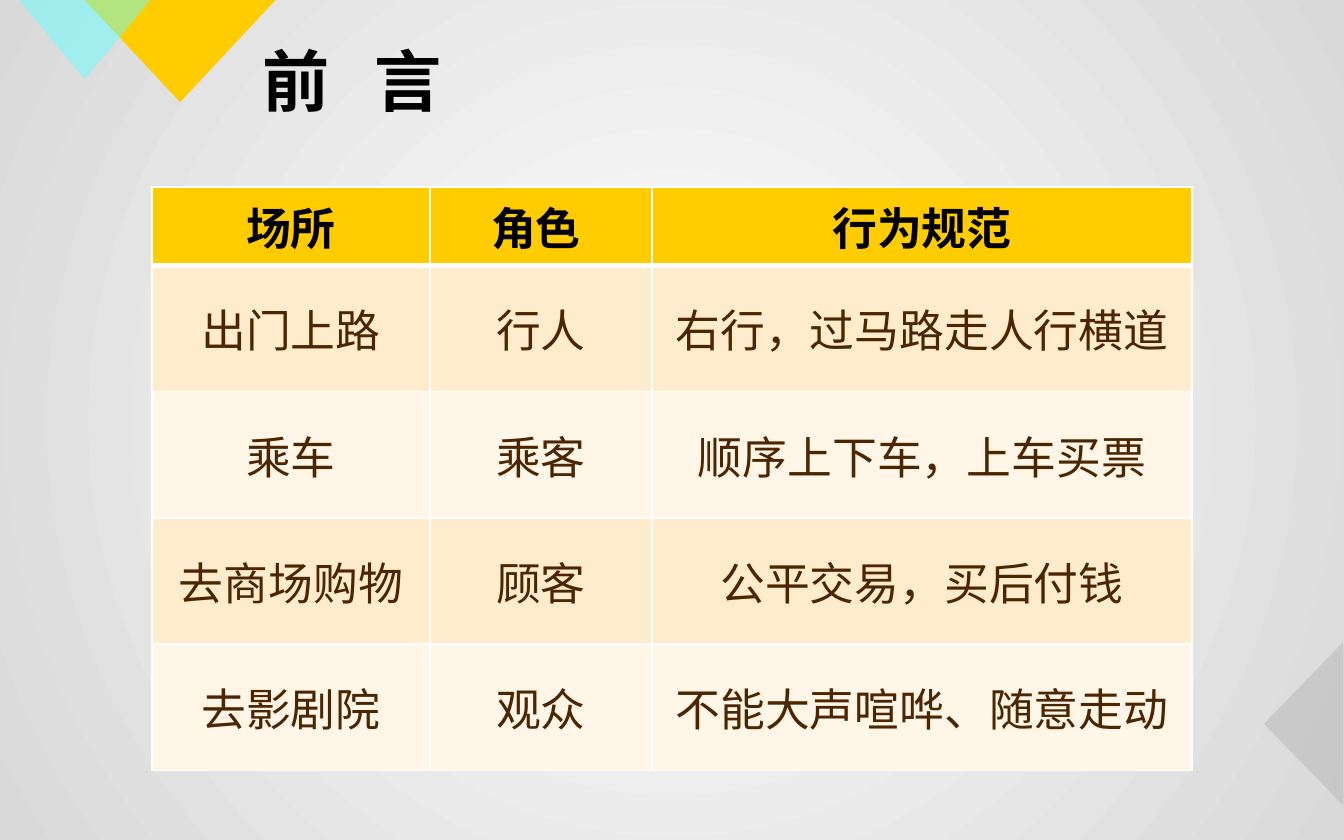
from lxml import etree
from pptx import Presentation
from pptx.dml.color import RGBColor
from pptx.enum.shapes import MSO_SHAPE
from pptx.enum.text import MSO_ANCHOR, MSO_AUTO_SIZE, PP_ALIGN
from pptx.oxml.ns import qn
from pptx.util import Inches, Pt

TRIANGLE = MSO_SHAPE.ISOSCELES_TRIANGLE
MIDDLE = MSO_ANCHOR.MIDDLE
LEFT, CENTER = PP_ALIGN.LEFT, PP_ALIGN.CENTER
NO_AUTOFIT = MSO_AUTO_SIZE.NONE
FONT = "Noto Sans CJK SC"


def set_color(color, hex_string):
    color.rgb = RGBColor.from_string(hex_string)


def add_run(p, text, size, color, bold):
    r = p.add_run()
    r.text = text
    r.font.size, r.font.bold, r.font.name = Pt(size), bold, FONT
    set_color(r.font.color, color)
    etree.SubElement(r.font._element, qn("a:ea"), typeface=FONT)


prs = Presentation()
prs.slide_width, prs.slide_height = Inches(10), Inches(6.25)
s = prs.slides.add_slide(prs.slide_layouts[5])

# Radial background
fill = s.background.fill
fill.gradient()
for stop, color in zip(fill.gradient_stops, ("FFFFFF", "D9D9D9")):
    set_color(stop.color, color)
grad = s.element.find(".//" + qn("a:gradFill"))
grad.remove(grad.find(qn("a:lin")))
circle = etree.SubElement(grad, qn("a:path"), path="circle")
etree.SubElement(circle, qn("a:fillToRect"), l="50000", t="50000", r="50000", b="50000")

# Corner triangles: left, top, width, height, rotation, colour, opacity in percent
triangles = [
    (0.63, 0, 1.42, 0.76, 180, "FFCC00", 100),
    (0.14, 0, 0.98, 0.59, 180, "66FFFF", 50),
    (9.09, 5.09, 1.22, 0.59, 270, "B7B7B7", 50),
]
for left, top, width, height, rotation, color, opacity in triangles:
    sp = s.shapes.add_shape(TRIANGLE, Inches(left), Inches(top), Inches(width), Inches(height))
    sp.rotation = rotation
    sp.shadow.inherit = False
    sp.line.fill.background()
    sp.fill.solid()
    set_color(sp.fill.fore_color, color)
    if opacity < 100:
        srgb = sp.element.spPr.find(".//" + qn("a:srgbClr"))
        etree.SubElement(srgb, qn("a:alpha"), val=str(opacity * 1000))

# Title, its two characters set apart by a tab stop
title = s.shapes.title
title.left, title.top = Inches(1.85), Inches(0.3)
title.width, title.height = Inches(7.19), Inches(0.59)
tf = title.text_frame
tf.auto_size = NO_AUTOFIT
tf.vertical_anchor = MIDDLE
p = tf.paragraphs[0]
p.alignment = LEFT
tabs = etree.SubElement(p._p.get_or_add_pPr(), qn("a:tabLst"))
etree.SubElement(tabs, qn("a:tab"), pos=str(Inches(0.84)), algn="l")
add_run(p, "前\t言", 36, "000000", True)

# Table of places, roles and rules
rows = [
    ("场所", "角色 ", "行为规范"),
    ("出门上路", "行人", "右行，过马路走人行横道"),
    ("乘车", "乘客", "顺序上下车，上车买票"),
    ("去商场购物", "顾客", "公平交易，买后付钱"),
    ("去影剧院", "观众", "不能大声喧哗、随意走动"),
]
col_widths = (2.07, 1.65, 4.02)
table = s.shapes.add_table(
    len(rows), len(col_widths), Inches(1.13), Inches(1.39), Inches(7.74), Inches(4.3)
).table
table.horz_banding = False
for column, width in zip(table.columns, col_widths):
    column.width = Inches(width)

for i, texts in enumerate(rows):
    header = i == 0
    table.rows[i].height = Inches(0.56 if header else 0.94)
    fill_color = "FFCC00" if header else ("FFF6E7", "FFECCC")[i % 2]
    for j, text in enumerate(texts):
        cell = table.cell(i, j)
        cell.vertical_anchor = MIDDLE
        p = cell.text_frame.paragraphs[0]
        p.alignment = CENTER
        add_run(p, text, 24, "000000" if header else "4C2600", header)

        # Borders come before the fill in the cell properties
        tcPr = cell._tc.get_or_add_tcPr()
        for side in ("lnL", "lnR", "lnT", "lnB"):
            under_header = (i, side) in ((0, "lnB"), (1, "lnT"))
            ln = etree.SubElement(tcPr, qn("a:" + side), w=str(Pt(3 if under_header else 1)))
            line_fill = etree.SubElement(ln, qn("a:solidFill"))
            etree.SubElement(line_fill, qn("a:srgbClr"), val="FFFFFF")
        cell.fill.solid()
        set_color(cell.fill.fore_color, fill_color)

prs.save("out.pptx")
